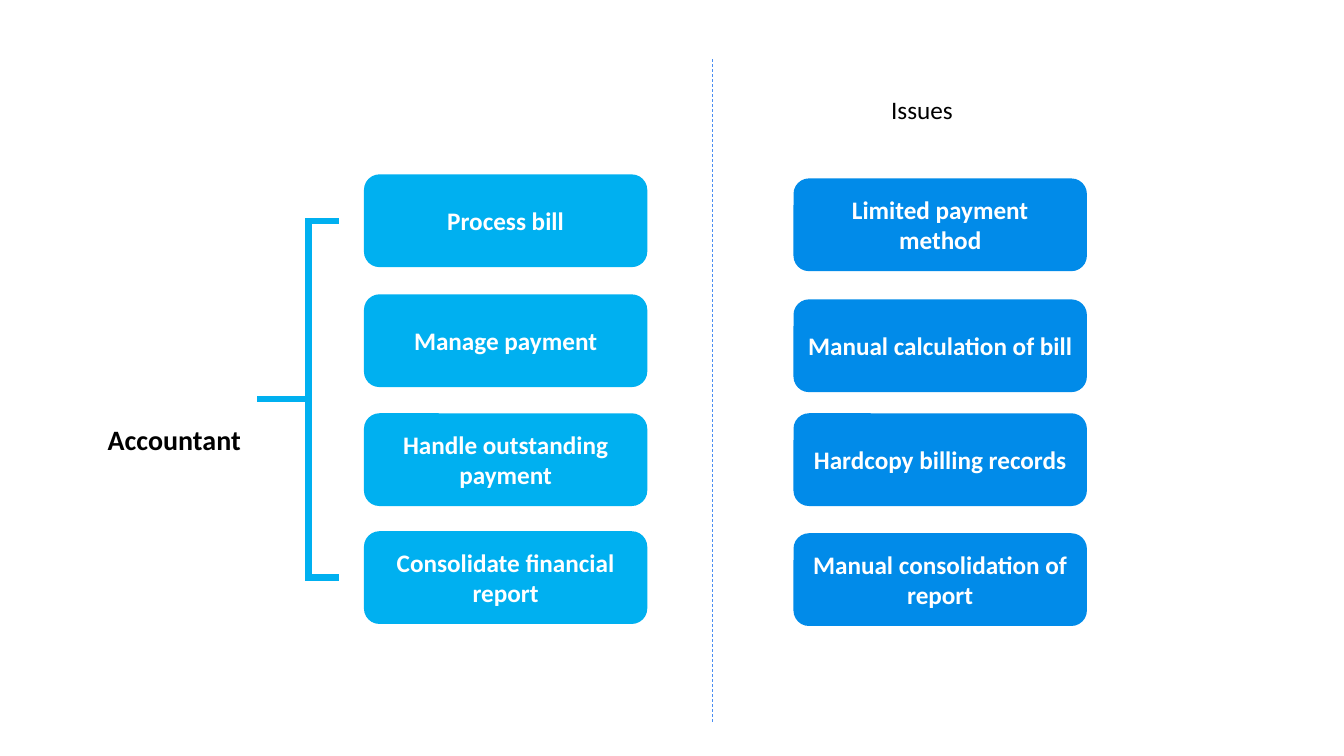
import dataclasses

import lxml.etree
import pptx
import pptx.dml.color
import pptx.enum.dml
import pptx.enum.shapes
import pptx.enum.text
import pptx.oxml.ns
import pptx.slide
import pptx.text.text
import pptx.util

Inches = pptx.util.Inches
RGBColor = pptx.dml.color.RGBColor
Align = pptx.enum.text.PP_ALIGN

SKY = RGBColor(0x00, 0xB0, 0xF0)
BLUE = RGBColor(0x01, 0x8B, 0xE9)
DIVIDER = RGBColor(0x4A, 0x8E, 0xF2)
WHITE = RGBColor(0xFF, 0xFF, 0xFF)
BLACK = RGBColor(0x00, 0x00, 0x00)

CARD_HEIGHT = 0.92


@dataclasses.dataclass(frozen=True)
class Column:
    left: float
    width: float
    color: RGBColor
    cards: tuple[tuple[float, str], ...]


@dataclasses.dataclass(frozen=True)
class Line:
    start: tuple[float, float]
    end: tuple[float, float]
    color: RGBColor = SKY
    weight: float = 4.5
    dashed: bool = False


@dataclasses.dataclass(frozen=True)
class Label:
    text: str
    left: float
    top: float
    width: float
    height: float
    size: float
    bold: bool
    wrap: bool


COLUMNS = (
    Column(3.61, 2.81, SKY, (
        (1.73, "Process bill"),
        (2.92, "Manage payment"),
        (4.1, "Handle outstanding payment"),
        (5.27, "Consolidate financial report"),
    )),
    Column(7.87, 2.91, BLUE, (
        (1.77, "Limited payment method"),
        (2.97, "Manual calculation of bill"),
        (4.1, "Hardcopy billing records"),
        (5.29, "Manual consolidation of report"),
    )),
)

LINES = (
    Line((2.55, 3.96), (3.03, 3.96)),
    Line((3.03, 2.19), (3.36, 2.19)),
    Line((3.03, 5.73), (3.36, 5.73)),
    Line((3.06, 2.17), (3.06, 5.75)),
    Line((7.07, 0.59), (7.07, 7.18), DIVIDER, 0.5, True),
)

LABELS = (
    Label("Issues", 8.74, 0.89, 0.83, 0.4, 18, False, False),
    Label("Accountant", 0.97, 4.14, 1.99, 0.44, 20, True, True),
)


def write_text(frame: pptx.text.text.TextFrame, text: str, *, size: float = 18,
               bold: bool = True, color: RGBColor = BLACK,
               align: Align = Align.LEFT, wrap: bool = True) -> None:
    frame.word_wrap = wrap
    para = frame.paragraphs[0]
    para.alignment = align
    span = para.add_run()
    span.text = text
    span.font.name = "Calibri"
    span.font.size = pptx.util.Pt(size)
    span.font.bold = bold
    span.font.color.rgb = color


def draw_column(page: pptx.slide.Slide, column: Column) -> None:
    for top, text in column.cards:
        card = page.shapes.add_shape(
            pptx.enum.shapes.MSO_SHAPE.ROUNDED_RECTANGLE,
            Inches(column.left), Inches(top), Inches(column.width), Inches(CARD_HEIGHT))
        card.shadow.inherit = False
        card.fill.solid()
        card.fill.fore_color.rgb = column.color
        card.line.fill.background()
        card.text_frame.vertical_anchor = pptx.enum.text.MSO_ANCHOR.MIDDLE
        write_text(card.text_frame, text, color=WHITE, align=Align.CENTER)


def draw_line(page: pptx.slide.Slide, line: Line) -> None:
    connector = page.shapes.add_connector(
        pptx.enum.shapes.MSO_CONNECTOR.STRAIGHT,
        *(Inches(value) for value in line.start + line.end))
    connector.line.color.rgb = line.color
    connector.line.width = pptx.util.Pt(line.weight)
    if line.dashed:
        connector.line.dash_style = pptx.enum.dml.MSO_LINE.DASH
    properties = connector.element.find(pptx.oxml.ns.qn("p:spPr"))
    lxml.etree.SubElement(properties, pptx.oxml.ns.qn("a:effectLst"))


def draw_label(page: pptx.slide.Slide, label: Label) -> None:
    box = page.shapes.add_textbox(
        Inches(label.left), Inches(label.top), Inches(label.width), Inches(label.height))
    box.text_frame.auto_size = pptx.enum.text.MSO_AUTO_SIZE.SHAPE_TO_FIT_TEXT
    write_text(box.text_frame, label.text, size=label.size, bold=label.bold, wrap=label.wrap)


def main() -> None:
    deck = pptx.Presentation()
    deck.slide_width = Inches(13.33)
    deck.slide_height = Inches(7.5)
    page = deck.slides.add_slide(deck.slide_layouts[6])
    for column in COLUMNS:
        draw_column(page, column)
    for line in LINES:
        draw_line(page, line)
    for label in LABELS:
        draw_label(page, label)
    deck.save("out.pptx")


if __name__ == "__main__":
    main()
